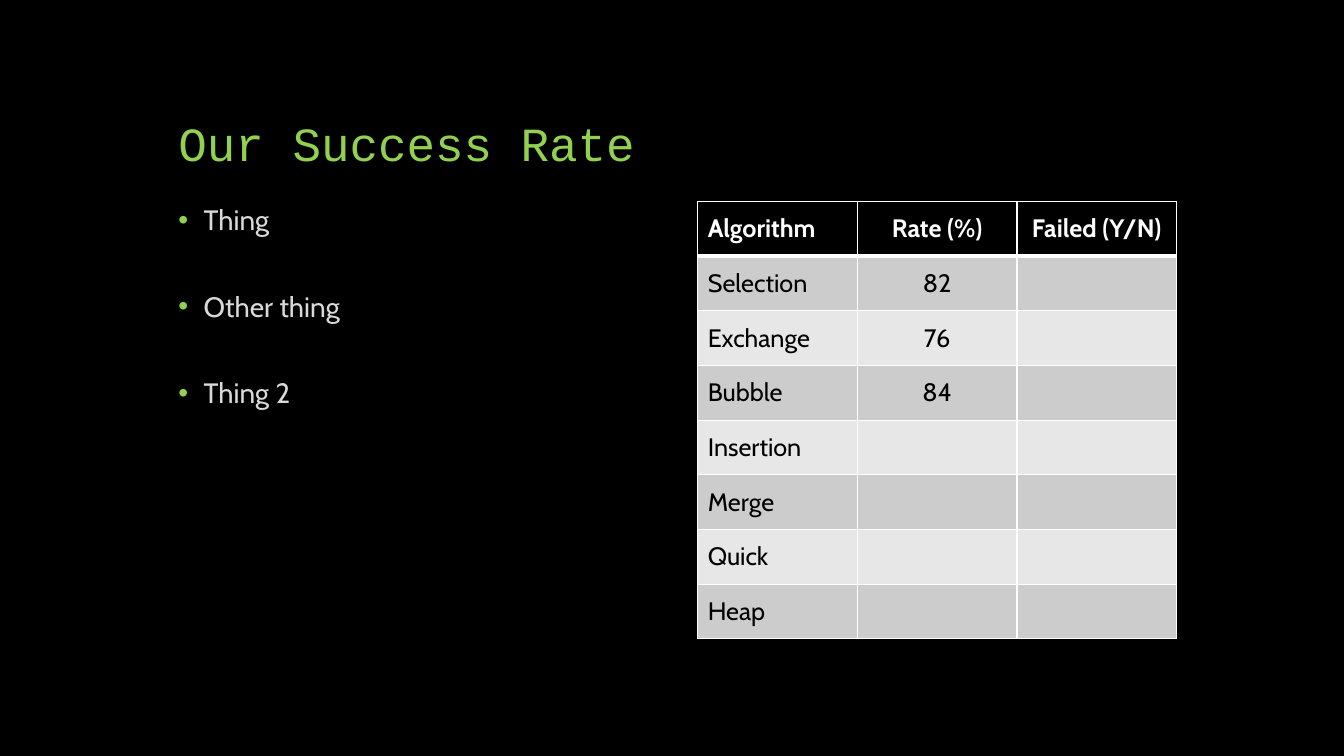
from lxml.etree import SubElement
from pptx import Presentation
from pptx.dml.color import RGBColor
from pptx.enum.text import MSO_ANCHOR as ANCHOR, MSO_AUTO_SIZE as FIT, PP_ALIGN as ALIGN
from pptx.oxml.ns import qn
from pptx.util import Inches, Pt

TITLE = "Our Success Rate"
BULLETS = ["Thing", "Other thing", "Thing 2"]
ROWS = [
    ("Algorithm", "Rate (%)", "Failed (Y/N)"),
    ("Selection", "82", ""),
    ("Exchange", "76", ""),
    ("Bubble", "84", ""),
    ("Insertion", "", ""),
    ("Merge", "", ""),
    ("Quick", "", ""),
    ("Heap", "", ""),
]
BLACK, WHITE, GREEN, GREY = "000000", "FFFFFF", "92D050", "D9D9D9"
BANDS = ["E7E7E7", "CCCCCC"]
LEFT, TABLE_LEFT, TOP, COL_W = 1.67, 6.92, 2, 4.75
ROW_H = 4.34 / len(ROWS)


def rgb(color):
    return RGBColor.from_string(color)


def add_run(p, text, size, color, font="Cabin", bold=False):
    r = p.add_run()
    r.text = text
    r.font.size, r.font.name, r.font.bold = Pt(size), font, bold
    r.font.color.rgb = rgb(color)


def place(sp, left, top, width, height, anchor):
    sp.left, sp.top = Inches(left), Inches(top)
    sp.width, sp.height = Inches(width), Inches(height)
    tf = sp.text_frame
    tf.word_wrap, tf.auto_size, tf.vertical_anchor = True, FIT.NONE, anchor
    return tf


def add_bullet(p):
    pPr = p._p.get_or_add_pPr()
    pPr.set("marL", str(Inches(0.25)))
    pPr.set("indent", str(Inches(-0.25)))
    color = SubElement(pPr, qn("a:buClr"))
    SubElement(color, qn("a:srgbClr"), val=GREEN)
    SubElement(pPr, qn("a:buFont"), typeface="Arial")
    SubElement(pPr, qn("a:buChar"), char="•")


def set_borders(cell, bottom):
    """Draw white cell borders; call before the cell is filled."""
    tcPr = cell._tc.get_or_add_tcPr()
    for side, width in (("L", 1), ("R", 1), ("T", 1), ("B", bottom)):
        ln = SubElement(tcPr, qn(f"a:ln{side}"), w=str(Pt(width)))
        fill = SubElement(ln, qn("a:solidFill"))
        SubElement(fill, qn("a:srgbClr"), val=WHITE)


prs = Presentation()
prs.slide_width, prs.slide_height = Inches(13.33), Inches(7.5)
slide = prs.slides.add_slide(prs.slide_layouts[1])
slide.background.fill.solid()
slide.background.fill.fore_color.rgb = rgb(BLACK)
title, body = slide.placeholders

p = place(title, LEFT, 0.5, 10, 1.25, ANCHOR.BOTTOM).paragraphs[0]
p.alignment, p.line_spacing = ALIGN.LEFT, 0.9
add_run(p, TITLE, 34, GREEN, "Courier New")

tf = place(body, LEFT, TOP, COL_W, 4.67, ANCHOR.TOP)
for i, text in enumerate(BULLETS):
    p = tf.add_paragraph() if i else tf.paragraphs[0]
    p.line_spacing = 0.9
    p.space_before, p.space_after = Pt(18), Pt(22)
    add_bullet(p)
    add_run(p, text, 20, GREY)

table = slide.shapes.add_table(
    len(ROWS), len(ROWS[0]), Inches(TABLE_LEFT), Inches(TOP),
    Inches(COL_W), Inches(ROW_H * len(ROWS))).table
for i, row in enumerate(ROWS):
    header = i == 0
    for j, text in enumerate(row):
        cell = table.cell(i, j)
        set_borders(cell, 3 if header else 1)
        if i == 1:
            cell._tc.tcPr.find(qn("a:lnT")).set("w", str(Pt(3)))
        cell.fill.solid()
        cell.fill.fore_color.rgb = rgb(BLACK if header else BANDS[i % 2])
        cell.vertical_anchor = ANCHOR.MIDDLE
        p = cell.text_frame.paragraphs[0]
        p.alignment = ALIGN.CENTER if j else ALIGN.LEFT
        if text:
            add_run(p, text, 18, WHITE if header else BLACK, bold=header)

prs.save("out.pptx")
